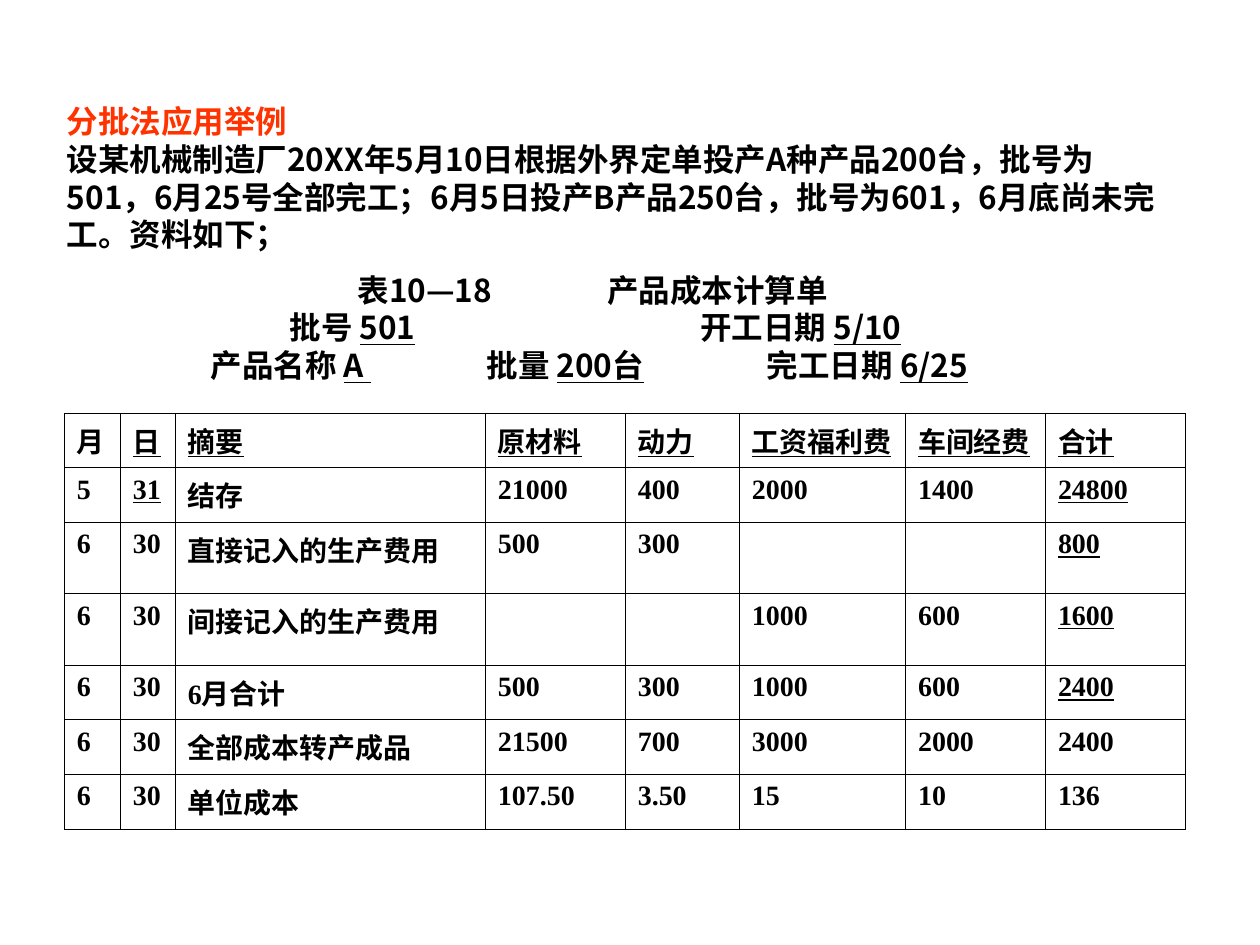
from dataclasses import dataclass

from lxml import etree
from pptx import Presentation
from pptx.dml.color import RGBColor
from pptx.enum.text import MSO_ANCHOR
from pptx.oxml.ns import qn
from pptx.util import Cm, Pt

MIDDLE = MSO_ANCHOR.MIDDLE


@dataclass(frozen=True)
class Theme:
    ink: RGBColor = RGBColor(0, 0, 0)
    accent: RGBColor = RGBColor(0xFF, 0x33, 0x00)
    sans: str = "Noto Sans CJK SC"
    serif: str = "Times New Roman"
    body_size: int = 18
    table_size: int = 16
    border_width: float = 0.45


THEME = Theme()
INSET_X, INSET_Y = Cm(0.25), Cm(0.13)

TITLE = "分批法应用举例"
INTRO = ("设某机械制造厂20XX年5月10日根据外界定单投产A种产品200台，批号为501，"
         "6月25号全部完工；6月5日投产B产品250台，批号为601，6月底尚未完工。资料如下；")

# Each caption line: (tab position in cm, label, underlined value)
CAPTION = [
    [(5.64, "表10—18", ""), (10.67, "产品成本计算单", "")],
    [(4.27, "批号 ", "501"), (12.55, "开工日期 ", "5/10")],
    [(2.68, "产品名称 ", "A "), (8.24, "批量 ", "200台"), (13.89, "完工日期 ", "6/25")],
]

COST_ROWS = [
    ["月", "日", "摘要", "原材料", "动力", "工资福利费", "车间经费", "合计"],
    ["5", "31", "结存", "21000", "400", "2000", "1400", "24800"],
    ["6", "30", "直接记入的生产费用", "500", "300", "", "", "800"],
    ["6", "30", "间接记入的生产费用", "", "", "1000", "600", "1600"],
    ["6", "30", "6月合计", "500", "300", "1000", "600", "2400"],
    ["6", "30", "全部成本转产成品", "21500", "700", "3000", "2000", "2400"],
    ["6", "30", "单位成本", "107.50", "3.50", "15", "10", "136"],
]
COLUMN_WIDTHS = [1.13, 1.11, 6.25, 2.82, 2.3, 3.35, 2.82, 2.82]
ROW_HEIGHTS = [1.1, 1.1, 1.44, 1.44, 1.1, 1.1, 1.1]
TOTAL_COLUMN = len(COLUMN_WIDTHS) - 1
# Header labels after the first, the opening day and the first four totals
UNDERLINED = ({(0, column) for column in range(1, TOTAL_COLUMN + 1)}
              | {(1, 1)} | {(row, TOTAL_COLUMN) for row in range(1, 5)})


def add_run(paragraph, text, size, latin, color=THEME.ink, underline=False):
    run = paragraph.add_run()
    run.text = text
    font = run.font
    font.size, font.bold, font.name = Pt(size), True, latin
    font.color.rgb = color
    if underline:
        font.underline = True
    east_asian = etree.Element(qn("a:ea"), typeface=THEME.sans)
    font._element.find(qn("a:latin")).addnext(east_asian)


def add_text_frame(slide, box):
    frame = slide.shapes.add_textbox(*map(Cm, box)).text_frame
    frame.word_wrap = True
    frame.vertical_anchor = MIDDLE
    frame.margin_left = frame.margin_right = INSET_X
    frame.margin_top = frame.margin_bottom = INSET_Y
    return frame


def add_intro(slide, box):
    frame = add_text_frame(slide, box)
    add_run(frame.paragraphs[0], TITLE, THEME.body_size, THEME.sans, THEME.accent)
    add_run(frame.add_paragraph(), INTRO, THEME.body_size, THEME.sans)


def set_tabs(paragraph, positions):
    tab_list = etree.SubElement(paragraph._p.get_or_add_pPr(), qn("a:tabLst"))
    for position in positions:
        etree.SubElement(tab_list, qn("a:tab"), pos=str(Cm(position)), algn="l")


def add_caption(slide, box):
    frame = add_text_frame(slide, box)
    for index, fields in enumerate(CAPTION):
        paragraph = frame.add_paragraph() if index else frame.paragraphs[0]
        set_tabs(paragraph, [position for position, _, _ in fields])
        for _, label, value in fields:
            add_run(paragraph, "\t" + label, THEME.body_size, THEME.sans)
            if value:
                add_run(paragraph, value, THEME.body_size, THEME.sans, underline=True)


def set_borders(cell):
    properties = cell._tc.get_or_add_tcPr()
    for index, side in enumerate(("lnL", "lnR", "lnT", "lnB")):
        line = etree.Element(qn(f"a:{side}"), w=str(Pt(THEME.border_width)))
        fill = etree.SubElement(line, qn("a:solidFill"))
        etree.SubElement(fill, qn("a:srgbClr"), val=str(THEME.ink))
        properties.insert(index, line)


def add_cost_table(slide, left, top):
    table = slide.shapes.add_table(
        len(ROW_HEIGHTS), len(COLUMN_WIDTHS), Cm(left), Cm(top),
        Cm(sum(COLUMN_WIDTHS)), Cm(sum(ROW_HEIGHTS))).table
    table.first_row = table.horz_banding = False
    for column, width in zip(table.columns, COLUMN_WIDTHS):
        column.width = Cm(width)
    for row, height in zip(table.rows, ROW_HEIGHTS):
        row.height = Cm(height)

    for row_index, values in enumerate(COST_ROWS):
        for column_index, value in enumerate(values):
            cell = table.cell(row_index, column_index)
            cell.margin_left = cell.margin_right = INSET_X
            cell.margin_top = cell.margin_bottom = INSET_Y
            cell.fill.background()
            set_borders(cell)
            if value:
                add_run(cell.text_frame.paragraphs[0], value, THEME.table_size, THEME.serif,
                        underline=(row_index, column_index) in UNDERLINED)


def main():
    presentation = Presentation()
    presentation.slide_width, presentation.slide_height = Cm(25.4), Cm(19.05)
    slide = presentation.slides.add_slide(presentation.slide_layouts[6])
    # Heading and case, then the caption lines, then the cost sheet
    add_intro(slide, (1.1, 1.93, 22.94, 3.3))
    add_caption(slide, (1.32, 5.33, 21.26, 2.54))
    add_cost_table(slide, 1.3, 8.33)
    presentation.save("out.pptx")


if __name__ == "__main__":
    main()
